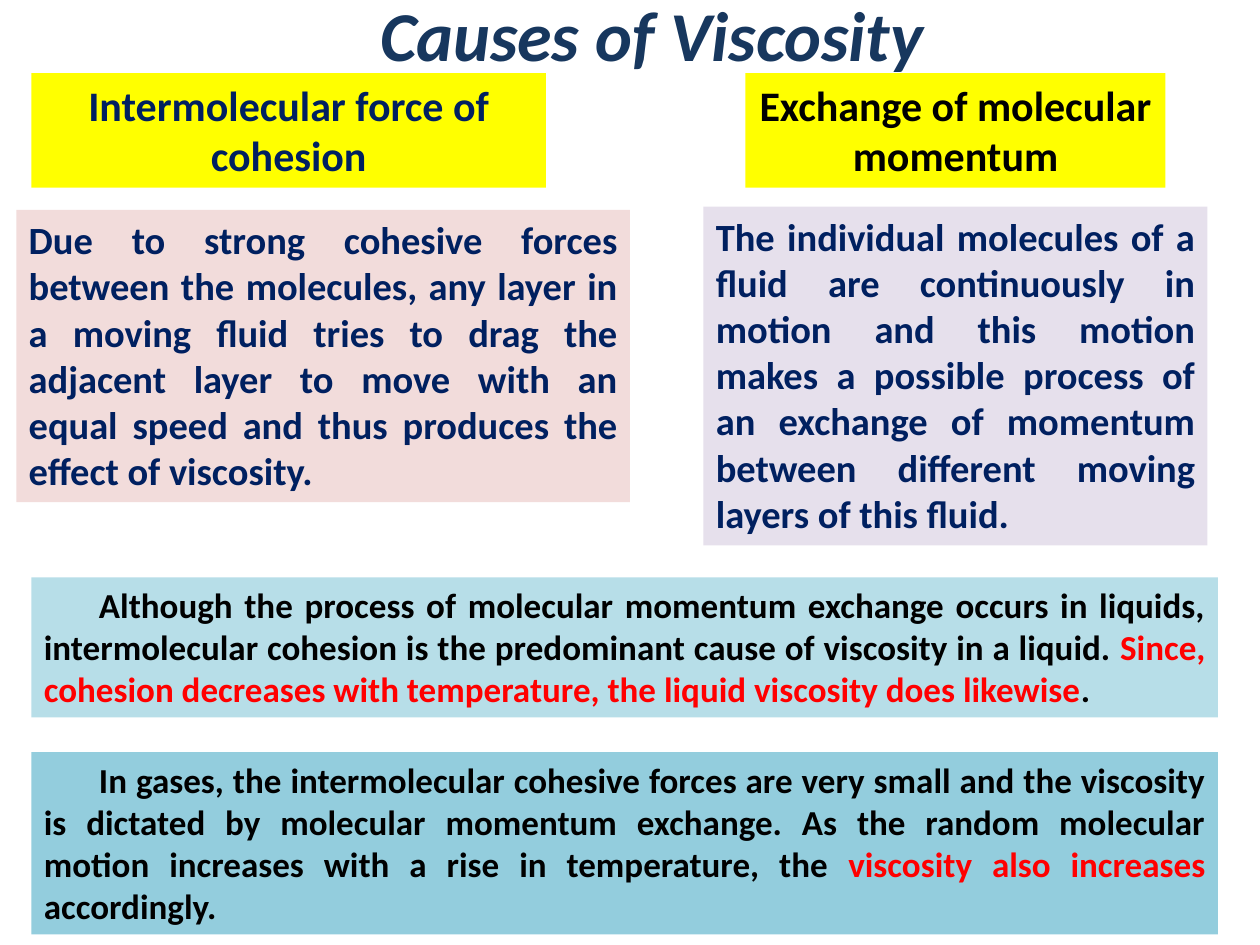
from dataclasses import dataclass

from pptx import Presentation
from pptx import util as u
from pptx.dml.color import RGBColor
from pptx.enum import shapes, text


@dataclass(frozen=True)
class Theme:
    font: str = "Calibri"
    title_size: int = 40
    heading_size: int = 24
    cause_size: int = 22
    conclusion_size: int = 20
    title: str = "17375E"
    navy: str = "002060"
    black: str = "000000"
    red: str = "FF0000"
    yellow: str = "FFFF00"
    pink: str = "F2DCDB"
    lilac: str = "E6E0EC"
    light_aqua: str = "B7DEE8"
    aqua: str = "93CDDD"


class SlideBuilder:
    def __init__(self, slide, theme):
        self.slide = slide
        self.theme = theme

    def add_run(self, paragraph, words, size, color, italic=False):
        run = paragraph.add_run()
        run.text = words
        run.font.name = self.theme.font
        run.font.size = u.Pt(size)
        run.font.bold = True
        run.font.italic = italic
        run.font.color.rgb = RGBColor.from_string(color)

    def title(self, words, left, top, width, height):
        shape = self.slide.shapes.title
        shape.left, shape.top = u.Pt(left), u.Pt(top)
        shape.width, shape.height = u.Pt(width), u.Pt(height)
        frame = shape.text_frame
        frame.auto_size = text.MSO_AUTO_SIZE.NONE
        frame.vertical_anchor = text.MSO_ANCHOR.TOP
        paragraph = frame.paragraphs[0]
        paragraph.alignment = text.PP_ALIGN.LEFT
        self.add_run(paragraph, words, self.theme.title_size, self.theme.title, italic=True)

    def panel(self, box, fill, size, runs, alignment=text.PP_ALIGN.JUSTIFY, indent=0):
        """Draw a filled rectangle; runs is a list of (words, colour)."""
        shape = self.slide.shapes.add_shape(
            shapes.MSO_SHAPE.RECTANGLE, *(u.Pt(length) for length in box))
        shape.shadow.inherit = False
        shape.fill.solid()
        shape.fill.fore_color.rgb = RGBColor.from_string(fill)
        shape.line.fill.background()
        frame = shape.text_frame
        frame.word_wrap = True
        frame.vertical_anchor = text.MSO_ANCHOR.TOP
        paragraph = frame.paragraphs[0]
        paragraph.alignment = alignment
        if indent:
            paragraph._p.get_or_add_pPr().set("indent", str(u.Pt(indent)))
        for words, color in runs:
            self.add_run(paragraph, words, size, color)

    def heading(self, words, color, left, width):
        self.panel((left, 41.76, width, 65.5), self.theme.yellow, self.theme.heading_size,
                   [(words, color)], text.PP_ALIGN.CENTER)

    def cause(self, words, fill, box):
        self.panel(box, fill, self.theme.cause_size, [(words, self.theme.navy)])

    def conclusion(self, runs, fill, top, height):
        self.panel((18, top, 678, height), fill, self.theme.conclusion_size, runs, indent=31.5)


def main():
    theme = Theme()
    presentation = Presentation()
    presentation.slide_width, presentation.slide_height = u.Pt(720), u.Pt(540)
    slide = presentation.slides.add_slide(presentation.slide_layouts[5])
    builder = SlideBuilder(slide, theme)

    builder.title("Causes of Viscosity", 210, -8.5, 339, 55.5)
    builder.heading("Intermolecular force of cohesion", theme.navy, 18, 294)
    builder.heading("Exchange of molecular momentum", theme.black, 426, 240)

    builder.cause(
        "Due to strong cohesive forces between the molecules, any layer in a moving fluid "
        "tries to drag the adjacent layer to move with an equal speed and thus produces "
        "the effect of viscosity.",
        theme.pink, (9.36, 120, 350.64, 167))
    builder.cause(
        "The individual molecules of a fluid are continuously in motion and this motion "
        "makes a possible process of an exchange of momentum between different moving "
        "layers of this fluid.",
        theme.lilac, (402, 118, 288, 193.7))

    builder.conclusion([
        ("Although the process of molecular momentum exchange occurs in liquids, "
         "intermolecular cohesion is the predominant cause of viscosity in a liquid. ",
         theme.black),
        ("Since, cohesion decreases with temperature, the liquid viscosity does likewise",
         theme.red),
        (".", theme.black),
    ], theme.light_aqua, 330, 80)
    builder.conclusion([
        ("In gases, the intermolecular cohesive forces are very small and the viscosity is "
         "dictated by molecular momentum exchange. As the random molecular motion "
         "increases with a rise in temperature, the ", theme.black),
        ("viscosity also increases ", theme.red),
        ("accordingly. ", theme.black),
    ], theme.aqua, 429.8, 104.2)

    presentation.save("out.pptx")


if __name__ == "__main__":
    main()
